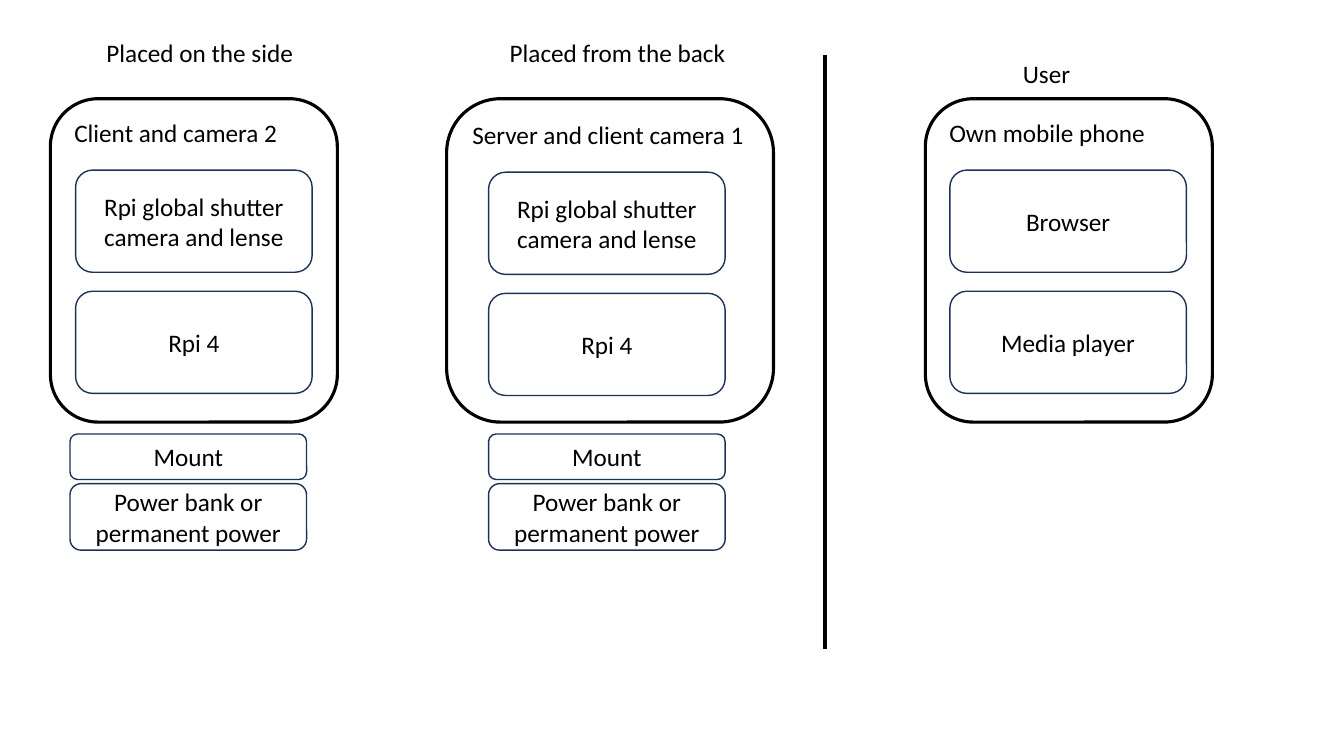
from dataclasses import dataclass

from lxml import etree
from pptx import Presentation
from pptx.dml.color import RGBColor
from pptx.enum.shapes import MSO_CONNECTOR, MSO_SHAPE
from pptx.enum.text import MSO_ANCHOR, MSO_AUTO_SIZE, PP_ALIGN
from pptx.oxml.ns import qn
from pptx.slide import Slide
from pptx.text.text import TextFrame
from pptx.util import Pt

ROUNDED = MSO_SHAPE.ROUNDED_RECTANGLE
STRAIGHT = MSO_CONNECTOR.STRAIGHT
TOP, MIDDLE = MSO_ANCHOR.TOP, MSO_ANCHOR.MIDDLE
LEFT, CENTER = PP_ALIGN.LEFT, PP_ALIGN.CENTER
FIT_TEXT = MSO_AUTO_SIZE.SHAPE_TO_FIT_TEXT

COLORS = {"ink": "000000", "unit": "1E3256"}
FONT_FORMAT = {
    "name": "Calibri",
    "size": Pt(18),
    "bold": False,
}

DEVICE_TOP, DEVICE_HEIGHT = 70.5, 231
UNIT_WIDTH, UNIT_HEIGHT, UNIT_STEP = 169, 73, 86.5
HEADING_HEIGHT = 29


@dataclass(frozen=True)
class Support:
    """A box below a device."""
    label: str
    top: float
    height: float


@dataclass(frozen=True)
class Device:
    heading: str
    heading_left: float
    heading_top: float
    heading_width: float
    label: str
    left: float
    width: float
    units: tuple[str, ...]
    units_left: float
    units_top: float
    supports: tuple[Support, ...] = ()
    supports_left: float = 0


CAMERA_UNITS = ("Rpi global shutter camera and lense", "Rpi 4")
CAMERA_SUPPORTS = (
    Support("Mount", 310, 32.5),
    Support("Power bank or permanent power", 345.5, 47.5),
)
DEVICES = (
    Device("Placed on the side", 69, 23, 161, "Client and camera 2",
           36, 205, CAMERA_UNITS, 54, 121.5, CAMERA_SUPPORTS, 50),
    Device("Placed from the back", 357, 23, 176.5, "Server and client camera 1",
           319, 233.5, CAMERA_UNITS, 349, 123, CAMERA_SUPPORTS, 349),
    Device("User", 723.5, 38, 128, "Own mobile phone",
           661, 205, ("Browser", "Media player"), 678.5, 121.5),
)


def write_text(frame: TextFrame, text: str, align: PP_ALIGN, anchor: MSO_ANCHOR) -> None:
    frame.word_wrap = True
    frame.vertical_anchor = anchor
    paragraph = frame.paragraphs[0]
    paragraph.alignment = align
    run = paragraph.add_run()
    run.text = text
    for attribute, value in FONT_FORMAT.items():
        setattr(run.font, attribute, value)
    run.font.color.rgb = RGBColor.from_string(COLORS["ink"])


def add_heading(slide: Slide, device: Device) -> None:
    heading = slide.shapes.add_textbox(
        Pt(device.heading_left), Pt(device.heading_top),
        Pt(device.heading_width), Pt(HEADING_HEIGHT))
    write_text(heading.text_frame, device.heading, LEFT, TOP)
    heading.text_frame.auto_size = FIT_TEXT


def add_box(slide: Slide, text: str, left: float, top: float, width: float, height: float,
            color: str = "unit", weight: float = 1,
            align: PP_ALIGN = CENTER, anchor: MSO_ANCHOR = MIDDLE) -> None:
    box = slide.shapes.add_shape(ROUNDED, Pt(left), Pt(top), Pt(width), Pt(height))
    box.shadow.inherit = False
    box.fill.background()
    box.line.color.rgb = RGBColor.from_string(COLORS[color])
    box.line.width = Pt(weight)
    write_text(box.text_frame, text, align, anchor)


def add_device(slide: Slide, device: Device) -> None:
    """Draw the heading, the device outline, its units and its supports."""
    add_heading(slide, device)
    add_box(slide, device.label, device.left, DEVICE_TOP, device.width, DEVICE_HEIGHT,
            "ink", 2.25, LEFT, TOP)
    for row, unit in enumerate(device.units):
        add_box(slide, unit, device.units_left, device.units_top + row * UNIT_STEP,
                UNIT_WIDTH, UNIT_HEIGHT)
    for support in device.supports:
        add_box(slide, support.label, device.supports_left, support.top,
                UNIT_WIDTH, support.height)


def add_divider(slide: Slide, x: float, top: float, bottom: float) -> None:
    divider = slide.shapes.add_connector(STRAIGHT, Pt(x), Pt(top), Pt(x), Pt(bottom))
    divider.line.color.rgb = RGBColor.from_string(COLORS["ink"])
    divider.line.width = Pt(3)
    etree.SubElement(divider._element.spPr, qn("a:effectLst"))


def main() -> None:
    presentation = Presentation()
    presentation.slide_width, presentation.slide_height = Pt(960), Pt(540)
    slide = presentation.slides.add_slide(presentation.slide_layouts[6])
    add_divider(slide, 589.5, 39, 463.5)
    for device in DEVICES:
        add_device(slide, device)
    presentation.save("out.pptx")


if __name__ == "__main__":
    main()
